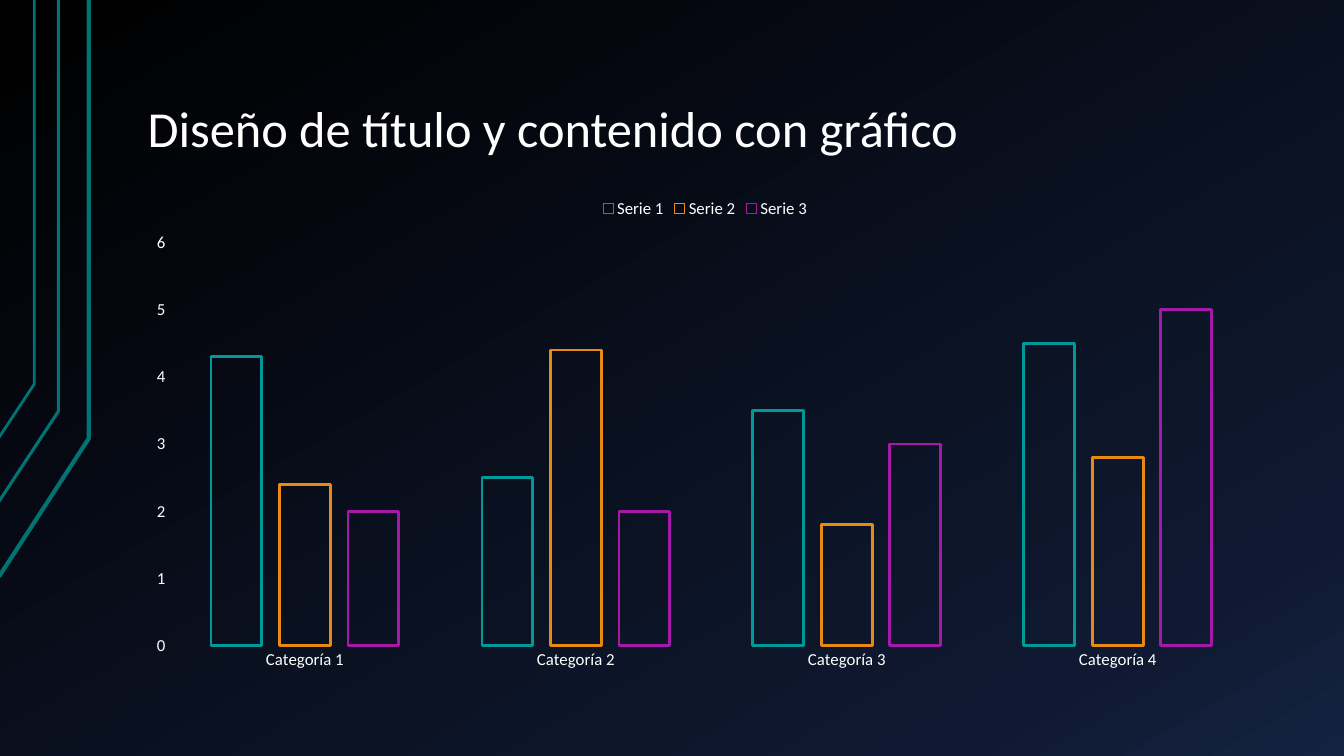
from copy import deepcopy
from dataclasses import dataclass

from pptx import Presentation
from pptx.chart.chart import Chart
from pptx.chart.data import CategoryChartData
from pptx.dml.color import RGBColor
from pptx.enum.chart import XL_CHART_TYPE, XL_LEGEND_POSITION, XL_TICK_MARK
from pptx.enum.text import MSO_ANCHOR, MSO_AUTO_SIZE, PP_ALIGN
from pptx.oxml.ns import qn
from pptx.slide import Slide
from pptx.util import Pt

FONT = "Calibri"
WHITE = "FFFFFF"
TEAL = "007373"
LEFT, WIDTH = Pt(95.76), Pt(815.76)


@dataclass
class Trace:
    """A wall line that drops from the top edge, then bends to the left."""
    x: float
    bend: float
    end_x: float
    end_y: float
    weight: float


@dataclass
class Bars:
    name: str
    values: list[float]
    color: str


@dataclass
class Stop:
    place: float
    color: str


TRACES = [
    Trace(63.36, 313.2, -0.72, 411.84, 3),
    Trace(41.76, 293.76, -1.44, 359.28, 2.25),
    Trace(24.48, 274.32, -0.72, 312.48, 2),
]
GROUPS = [f"Categoría {n}" for n in range(1, 5)]
SERIES = [
    Bars("Serie 1", [4.3, 2.5, 3.5, 4.5], "009999"),
    Bars("Serie 2", [2.4, 4.4, 1.8, 2.8], "E98915"),
    Bars("Serie 3", [2, 2, 3, 5], "A419A7"),
]
STOPS = [Stop(0, "000000"), Stop(0.85, "0F1931"), Stop(1, "142242")]


def rgb(code: str) -> RGBColor:
    return RGBColor.from_string(code)


def style(font, size: float) -> None:
    font.name = FONT
    font.size = Pt(size)
    font.color.rgb = rgb(WHITE)


def outline(item, color: str, weight: float) -> None:
    """Leave only a coloured line, with no fill."""
    item.fill.background()
    item.line.color.rgb = rgb(color)
    item.line.width = Pt(weight)


def paint_back(slide: Slide) -> None:
    fill = slide.background.fill
    fill.gradient()
    fill.gradient_angle = 300
    stops = slide.element.find(f".//{qn('a:gsLst')}")
    while len(stops) < len(STOPS):
        stops.append(deepcopy(stops[-1]))
    for mark, stop in zip(fill.gradient_stops, STOPS):
        mark.position = stop.place
        mark.color.rgb = rgb(stop.color)


def draw_trace(slide: Slide, trace: Trace) -> None:
    pen = slide.shapes.build_freeform(Pt(trace.end_x), Pt(trace.end_y))
    pen.add_line_segments(
        [(Pt(trace.x), Pt(trace.bend)), (Pt(trace.x), 0)], close=False)
    shape = pen.convert_to_shape()
    shape.shadow.inherit = False
    outline(shape, TEAL, trace.weight)


def set_title(slide: Slide, text: str) -> None:
    title = slide.shapes.title
    title.left, title.top = LEFT, Pt(21.6)
    title.width, title.height = WIDTH, Pt(96.48)
    frame = title.text_frame
    frame.text = text
    frame.word_wrap = True
    frame.auto_size = MSO_AUTO_SIZE.NONE
    frame.vertical_anchor = MSO_ANCHOR.BOTTOM
    frame.margin_left = frame.margin_right = Pt(9.6)
    frame.margin_top = frame.margin_bottom = Pt(4.8)
    line = frame.paragraphs[0]
    line.alignment = PP_ALIGN.LEFT
    line.line_spacing = 0.9
    style(line.font, 36)


def style_axes(chart: Chart) -> None:
    for axis in (chart.category_axis, chart.value_axis):
        axis.has_major_gridlines = False
        axis.major_tick_mark = axis.minor_tick_mark = XL_TICK_MARK.NONE
        axis.format.line.fill.background()
        style(axis.tick_labels.font, 12)
    scale = chart.value_axis
    scale.minimum_scale, scale.maximum_scale, scale.major_unit = 0, 6, 1


def add_bars(slide: Slide) -> None:
    data = CategoryChartData()
    data.categories = GROUPS
    for bars in SERIES:
        data.add_series(bars.name, bars.values)
    chart = slide.shapes.add_chart(
        XL_CHART_TYPE.COLUMN_CLUSTERED,
        LEFT, Pt(133.92), WIDTH, Pt(351.36), data).chart
    chart.has_title = False
    style(chart.font, 10)
    chart.has_legend = True
    chart.legend.position = XL_LEGEND_POSITION.TOP
    chart.legend.include_in_layout = False
    style(chart.legend.font, 12)
    style_axes(chart)
    plot = chart.plots[0]
    plot.vary_by_categories = False
    plot.gap_width, plot.overlap = 164, -35
    for series, bars in zip(plot.series, SERIES):
        series.invert_if_negative = False
        outline(series.format, bars.color, 2)


def main() -> None:
    deck = Presentation()
    deck.slide_width, deck.slide_height = Pt(960), Pt(540)
    slide = deck.slides.add_slide(deck.slide_layouts[5])
    paint_back(slide)
    for trace in TRACES:
        draw_trace(slide, trace)
    set_title(slide, "Diseño de título y contenido con gráfico")
    add_bars(slide)
    deck.save("out.pptx")


if __name__ == "__main__":
    main()
